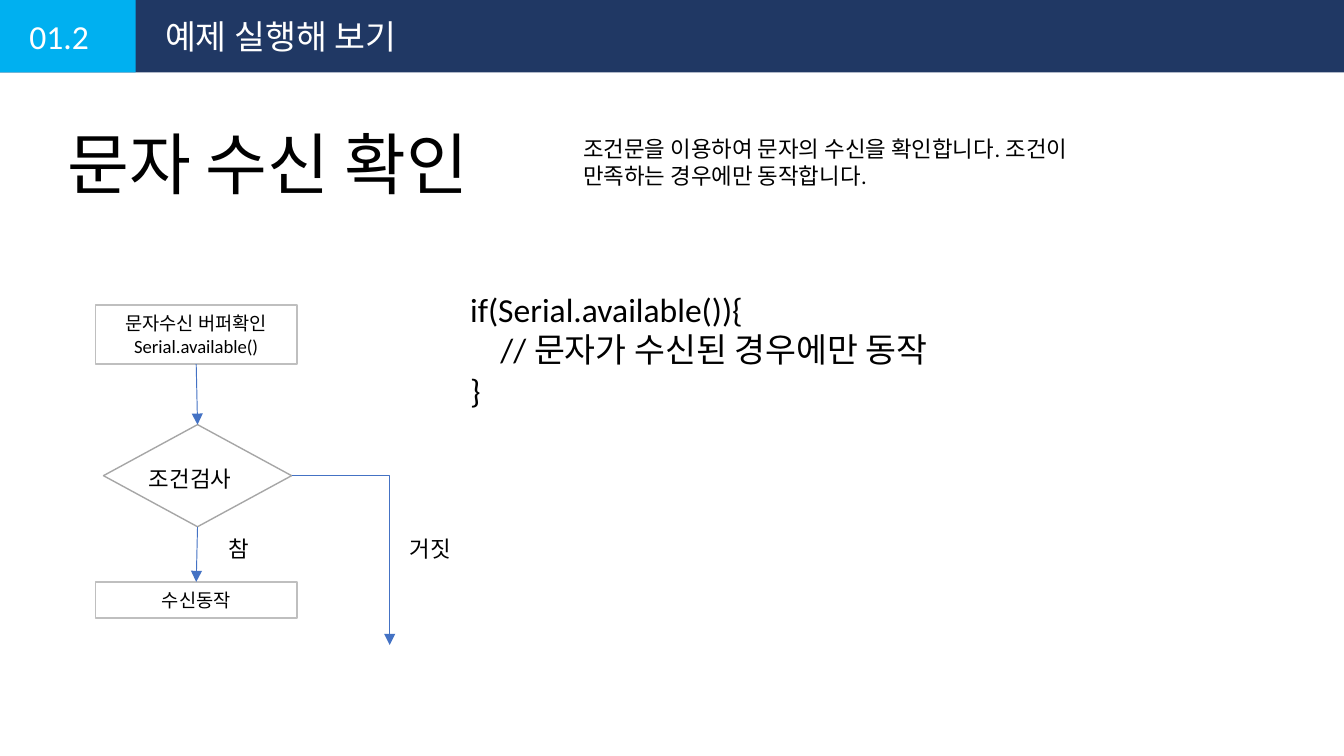
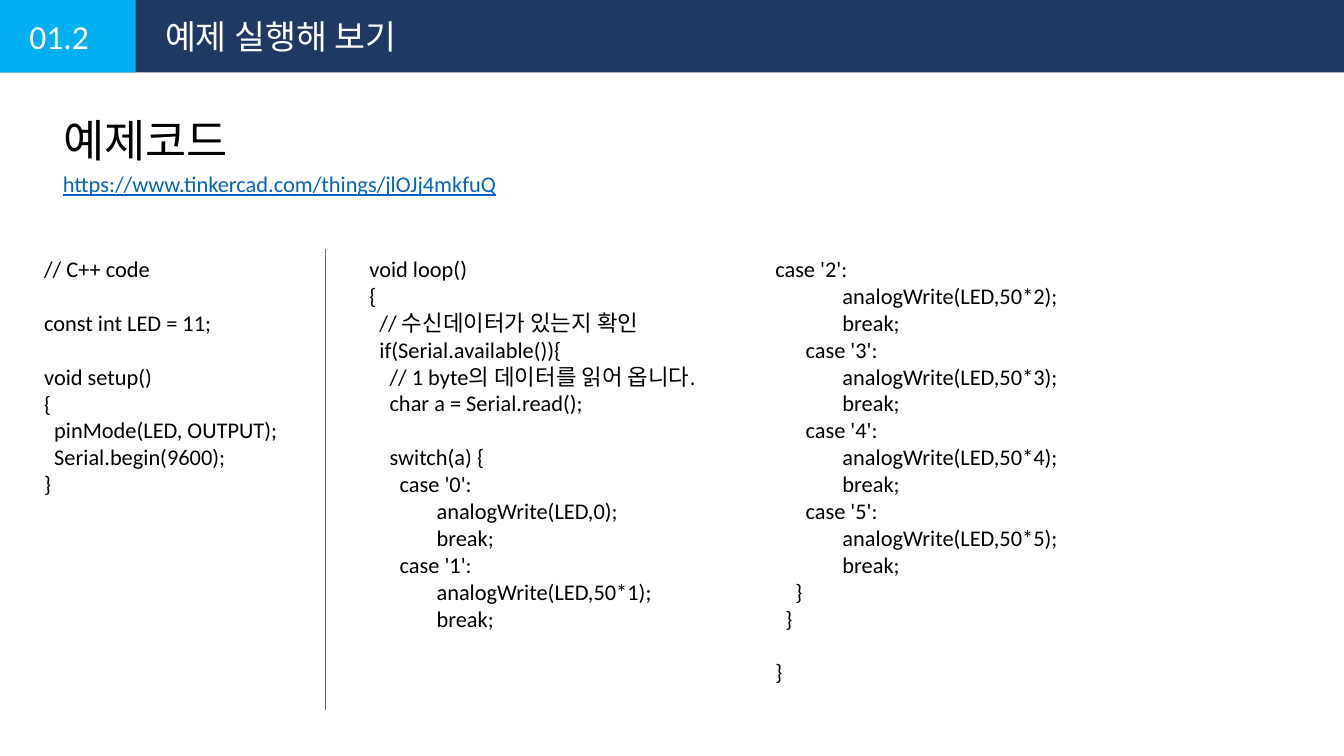
from lxml.etree import SubElement
from pptx import Presentation
from pptx.dml.color import RGBColor
from pptx.enum.shapes import MSO_CONNECTOR as Link, MSO_SHAPE as Preset
from pptx.enum.text import MSO_ANCHOR as Anchor, MSO_AUTO_SIZE as AutoSize, PP_ALIGN as Align
from pptx.oxml.ns import qn
from pptx.util import Inches, Pt

FONT = "Calibri"
NAVY, SKY, BLUE, URL_BLUE = "203864", "00B0F0", "4472C4", "0563C1"
BLACK, WHITE, SILVER, GRAY = "000000", "FFFFFF", "BFBFBF", "A6A6A6"
WIDTH = 10
HEIGHT = WIDTH * 9 / 16
BAND_HEIGHT, NUMBER_WIDTH = 0.54, 1.01
CODE_SIZE, CODE_LINE, CODE_TAB = 12, 14.4, 0.5

SETUP_CODE = """// C++ code

const int LED = 11;

void setup()
{
  pinMode(LED, OUTPUT);
  Serial.begin(9600);
}"""

LOOP_CODE = """void loop()
{
  // 수신데이터가 있는지 확인
  if(Serial.available()){
    // 1 byte의 데이터를 읽어 옵니다.
    char a = Serial.read();

    switch(a) {
      case '0':
      \tanalogWrite(LED,0);
      \tbreak;
      case '1':
      \tanalogWrite(LED,50*1);
      \tbreak;"""

CASES_CODE = """case '2':
      \tanalogWrite(LED,50*2);
      \tbreak;
      case '3':
      \tanalogWrite(LED,50*3);
      \tbreak;
      case '4':
      \tanalogWrite(LED,50*4);
      \tbreak;
      case '5':
      \tanalogWrite(LED,50*5);
      \tbreak;
    }
  }

}"""

RECEIVE_CODE = """if(Serial.available()){
    // 문자가 수신된 경우에만 동작
}"""


def rgb(color):
    return RGBColor.from_string(color)


def inches(box):
    return [Inches(length) for length in box]


def style(paragraph, size, color=BLACK, align=Align.LEFT):
    paragraph.alignment = align
    font = paragraph.font
    font.name, font.size = FONT, Pt(size)
    font.color.rgb = rgb(color)
    return font


def add_frame(slide, box):
    frame = slide.shapes.add_textbox(*inches(box)).text_frame
    frame.word_wrap = True
    frame.auto_size = AutoSize.SHAPE_TO_FIT_TEXT
    return frame


def add_text(slide, box, text, size, color=BLACK):
    frame = add_frame(slide, box)
    frame.text = text
    return style(frame.paragraphs[0], size, color)


def add_code(slide, box, code, size=CODE_SIZE):
    frame = add_frame(slide, box)
    paragraph, gap = frame.paragraphs[0], 0
    for row, line in enumerate(code.split("\n")):
        if not line:
            gap += CODE_LINE
            continue
        if row:
            paragraph = frame.add_paragraph()
        paragraph.text = line
        if gap:
            paragraph.space_before = Pt(gap)
        gap = 0
        if "\t" in line:
            stops = SubElement(paragraph._p.get_or_add_pPr(), qn("a:tabLst"))
            SubElement(stops, qn("a:tab"), pos=str(Inches(CODE_TAB)), algn="l")
        style(paragraph, size)


def add_block(slide, preset, box, fill=None, line=None, lines=()):
    block = slide.shapes.add_shape(preset, *inches(box))
    block.shadow.inherit = False
    if fill:
        block.fill.solid()
        block.fill.fore_color.rgb = rgb(fill)
    else:
        block.fill.background()
    if line:
        block.line.color.rgb = rgb(line)
        block.line.width = Pt(0.75)
    else:
        block.line.fill.background()
    if lines:
        frame = block.text_frame
        frame.word_wrap = True
        frame.text = "\n".join(lines)
        for paragraph in frame.paragraphs:
            style(paragraph, 10, align=Align.CENTER)


def add_line(slide, start, end, kind=Link.STRAIGHT, arrow=True):
    link = slide.shapes.add_connector(kind, *inches(start + end))
    link.line.color.rgb = rgb(BLUE)
    link.line.width = Pt(0.5)
    if arrow:
        SubElement(link.line._get_or_add_ln(), qn("a:tailEnd"), type="triangle")
    properties = link._element.spPr
    SubElement(properties, qn("a:effectLst"))
    if kind == Link.ELBOW:
        properties.find(qn("a:prstGeom")).set("prst", "bentConnector2")


def add_band(slide, number, chapter):
    add_block(slide, Preset.RECTANGLE, (0, 0, WIDTH, BAND_HEIGHT), NAVY)
    add_block(slide, Preset.RECTANGLE, (0, 0, NUMBER_WIDTH, BAND_HEIGHT), SKY)
    add_text(slide, (0.12, 0.07, 0.65, 0.4), number, 18, WHITE)
    add_text(slide, (NUMBER_WIDTH + 0.12, 0.07, 5.16, 0.4), chapter, 18, WHITE)


def add_heading(slide, box, text, size):
    heading = slide.shapes.title
    heading.left, heading.top, heading.width, heading.height = inches(box)
    frame = heading.text_frame
    frame.text = text
    frame.word_wrap = True
    frame.auto_size = AutoSize.NONE
    frame.vertical_anchor = Anchor.TOP
    style(frame.paragraphs[0], size)


def add_flowchart(slide, left, top):
    step_width, check_width = 1.5, 1.4
    step_center = left + step_width / 2
    check_center = step_center + 0.01
    check_left = check_center - check_width / 2
    buffer_height, check_height, receive_height = 0.44, 0.76, 0.27
    check_top, receive_top = top + 0.89, top + 2.06
    check_bottom = check_top + check_height
    check_middle = check_top + check_height / 2
    false_x = left + 2.19

    add_block(slide, Preset.RECTANGLE, (left, top, step_width, buffer_height),
              line=SILVER, lines=("문자수신 버퍼확인", "Serial.available()"))
    add_block(slide, Preset.DIAMOND, (check_left, check_top, check_width, check_height), line=GRAY)
    add_block(slide, Preset.RECTANGLE, (left, receive_top, step_width, receive_height),
              line=SILVER, lines=("수신동작",))
    add_line(slide, (step_center, top + buffer_height), (check_center, check_top))
    add_line(slide, (check_center, check_bottom), (step_center, receive_top))
    add_line(slide, (check_left + check_width, check_middle), (false_x, top + 2.53), Link.ELBOW)
    add_text(slide, (left + 0.3, check_middle - 0.13, 1.04, 0.3), "조건검사", 12)
    for label_left, label in ((left + 0.89, "참"), (false_x + 0.05, "거짓")):
        add_text(slide, (label_left, check_bottom + 0.01, 0.78, 0.3), label, 12)


def add_code_columns(slide, top):
    for left, width, height, code in ((0.23, 2.42, 1.92, SETUP_CODE),
                                      (2.65, 3.02, 2.93, LOOP_CODE),
                                      (5.67, 3.91, 3.33, CASES_CODE)):
        add_code(slide, (left, top, width, height), code)
    add_line(slide, (2.42, top), (2.42, top + 3.43), arrow=False)


def new_slide(deck):
    slide = deck.slides.add_slide(deck.slide_layouts[5])
    add_band(slide, "01.2", "예제 실행해 보기")
    return slide


def receive_check_slide(deck):
    slide = new_slide(deck)
    add_heading(slide, (0.4, 0.86, 3.84, 0.71), "문자 수신 확인", 36)
    add_text(slide, (4.24, 0.96, 4.15, 0.5),
             "조건문을 이용하여 문자의 수신을 확인합니다. 조건이 만족하는 경우에만 동작합니다.", 12)
    add_code(slide, (3.4, 2.1, 5, 1.01), RECEIVE_CODE, 18)
    add_flowchart(slide, 0.71, 2.27)


def example_code_slide(deck):
    slide = new_slide(deck)
    add_heading(slide, (0.37, 0.79, 2.77, 0.5), "예제코드", 24)
    address = add_text(slide, (0.37, 1.22, 3.82, 0.3),
                       "https://www.tinkercad.com/things/jlOJj4mkfuQ", 12, URL_BLUE)
    address.underline = True
    add_code_columns(slide, 1.85)


def main():
    deck = Presentation()
    deck.slide_width, deck.slide_height = Inches(WIDTH), Inches(HEIGHT)
    receive_check_slide(deck)
    example_code_slide(deck)
    deck.save("out.pptx")


if __name__ == "__main__":
    main()
